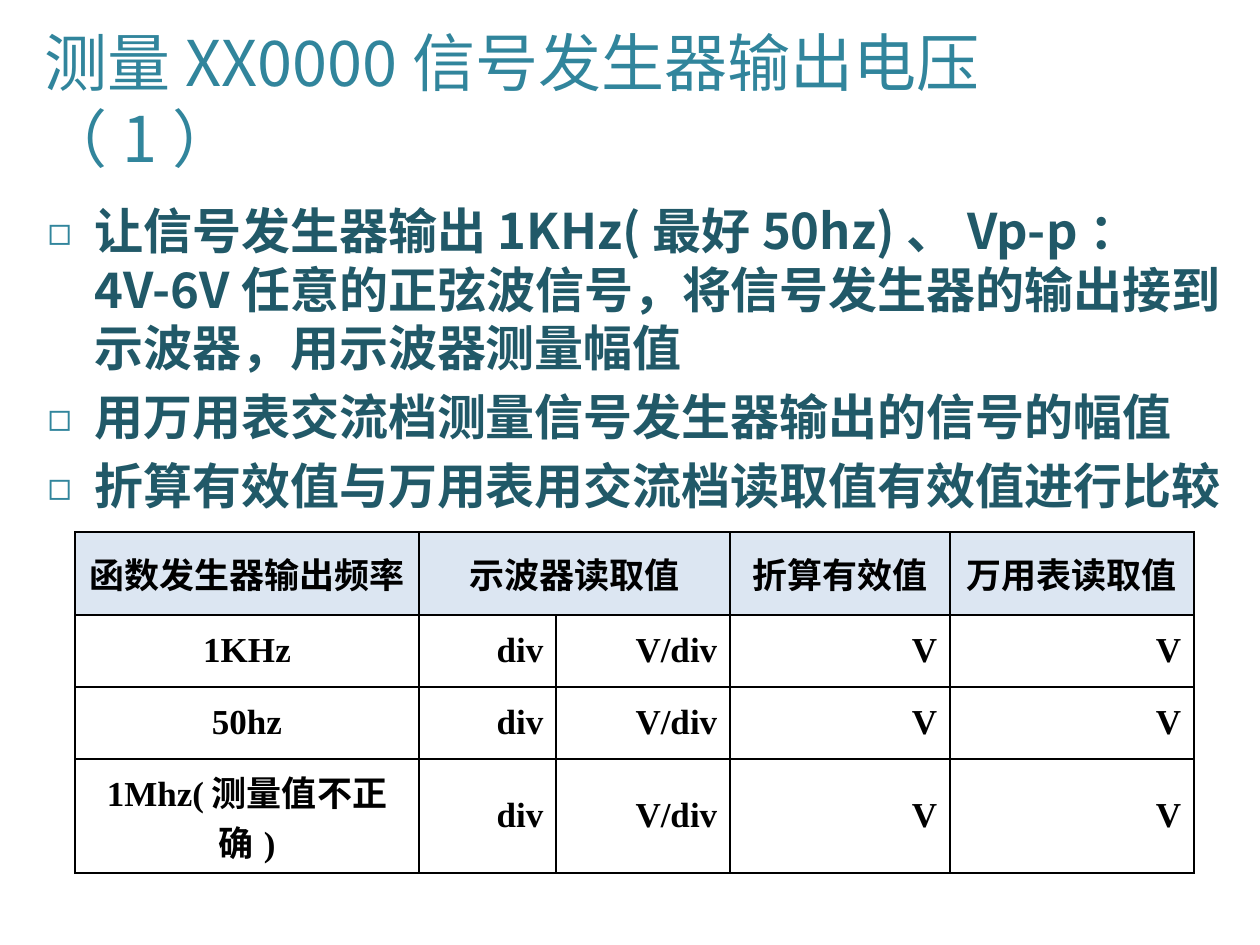
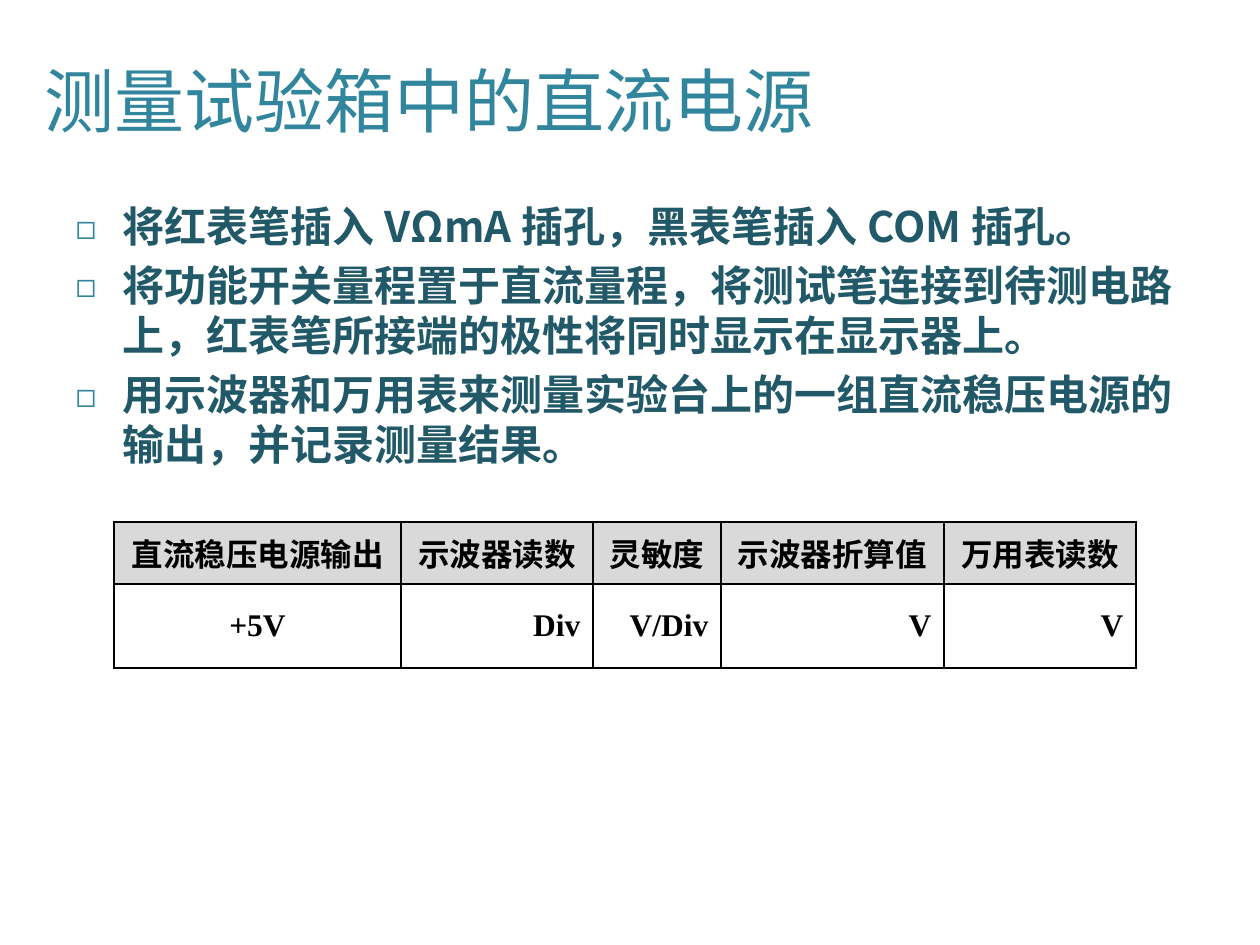
import pptx
import pptx.util
import pptx.dml.color
import pptx.enum.text
import pptx.oxml
import pptx.oxml.ns
from lxml import etree

# Shared look
SCALE = 914400 / 126
SANS, SERIF = "Noto Sans CJK SC", "Times New Roman"
HUES = {"title": "31859C", "body": "215968", "ink": "000000",
        "blue": "DCE6F2", "gray": "D9D9D9"}
ALIGN = pptx.enum.text.PP_ALIGN
MID = pptx.enum.text.MSO_ANCHOR.MIDDLE

# Content; a cell of None is merged into the one on its left
UNITS = ["div", "V/div", "V", "V"]
PAGES = [
    {
        "title": "测量XX0000信号发生器输出电压（1）",
        "title_box": (32, 34, 1075, 131), "title_size": 36,
        "items": [
            "让信号发生器输出1KHz(最好50hz)、Vp-p：4V-6V任意的正弦波信号，将信号发生器的输出接到示波器，用示波器测量幅值",
            "用万用表交流档测量信号发生器输出的信号的幅值",
            "折算有效值与万用表用交流档读取值有效值进行比较",
        ],
        "body_box": (35, 194, 1207, 624), "body_size": 28,
        "rows": [
            ["函数发生器输出频率", "示波器读取值", None, "折算有效值", "万用表读取值"],
            ["1KHz"] + UNITS,
            ["50hz"] + UNITS,
            ["1Mhz(测量值不正确)"] + UNITS,
        ],
        "spot": (75, 532), "wide": [344, 137, 174, 220, 244],
        "high": [83, 72, 72, 72], "size": 20, "head": "blue",
    },
    {
        "title": "测量试验箱中的直流电源",
        "title_box": (32, 34, 965, 131), "title_size": 40,
        "items": [
            "将红表笔插入VΩmA插孔，黑表笔插入COM插孔。",
            "将功能开关量程置于直流量程，将测试笔连接到待测电路上，红表笔所接端的极性将同时显示在显示器上。",
            "用示波器和万用表来测量实验台上的一组直流稳压电源的输出，并记录测量结果。",
        ],
        "body_box": (63, 194, 1134, 624), "body_size": 24,
        "rows": [
            ["直流稳压电源输出", "示波器读数", "灵敏度", "示波器折算值", "万用表读数"],
            ["+5V", "Div", "V/Div", "V", "V"],
        ],
        "spot": (114, 522), "wide": [287, 192, 128, 223, 192],
        "high": [62, 84], "size": 18, "head": "gray",
    },
]


def px(num):
    return pptx.util.Emu(round(num * SCALE))


def tint(name):
    return pptx.dml.color.RGBColor.from_string(HUES[name])


def add_sub(node, tag, **attrs):
    return etree.SubElement(node, pptx.oxml.ns.qn(tag), attrs)


def style(para, size, face, hue, bold):
    for run in para.runs:
        font = run.font
        font.size, font.bold, font.name = pptx.util.Pt(size), bold, face
        font.color.rgb = tint(hue)
        add_sub(run._r.get_or_add_rPr(), "a:ea", typeface=SANS)


def place(shape, box):
    shape.left, shape.top, shape.width, shape.height = map(px, box)
    shape.text_frame.word_wrap = True
    shape.text_frame.auto_size = pptx.enum.text.MSO_AUTO_SIZE.NONE


def lead(para, size):
    para.alignment = ALIGN.LEFT
    para.line_spacing = pptx.util.Pt(round(size * 1.2, 1))
    para.space_before = pptx.util.Pt(0)


def add_title(slide, page):
    shape, size = slide.shapes.title, page["title_size"]
    place(shape, page["title_box"])
    shape.text_frame.text = page["title"]
    shape.text_frame.vertical_anchor = MID
    para = shape.text_frame.paragraphs[0]
    lead(para, size)
    style(para, size, SANS, "title", False)


def add_list(slide, page):
    shape, size = slide.placeholders[1], page["body_size"]
    place(shape, page["body_box"])
    frame = shape.text_frame
    for i, item in enumerate(page["items"]):
        para = frame.add_paragraph() if i else frame.paragraphs[0]
        para.text = item
        props = para._p.get_or_add_pPr()
        props.set("marL", str(px(47)))
        props.set("indent", str(-px(47)))
        add_sub(add_sub(props, "a:buClr"), "a:srgbClr", val=HUES["title"])
        add_sub(props, "a:buSzPct", val="80000")
        add_sub(props, "a:buFont", typeface=SANS)
        add_sub(props, "a:buChar", char="◻")
        lead(para, size)
        if i:
            para.space_before = pptx.util.Pt(round(size * 0.2, 1))
        style(para, size, SANS, "body", True)


def edge(cell):
    props = cell._tc.get_or_add_tcPr()
    for side in "LRTB":
        line = add_sub(props, "a:ln" + side, w="12700")
        add_sub(add_sub(line, "a:solidFill"), "a:srgbClr", val=HUES["ink"])


def add_grid(slide, page):
    rows, wide, high = page["rows"], page["wide"], page["high"]
    box = (*page["spot"], sum(wide), sum(high))
    grid = slide.shapes.add_table(len(rows), len(wide), *map(px, box)).table
    grid.first_row = grid.horz_banding = False
    for col, num in zip(grid.columns, wide):
        col.width = px(num)
    for row, num in zip(grid.rows, high):
        row.height = px(num)
    for r, row in enumerate(rows):
        for c, text in enumerate(row):
            cell = grid.cell(r, c)
            edge(cell)
            if r == 0:
                cell.fill.solid()
                cell.fill.fore_color.rgb = tint(page["head"])
            else:
                cell.fill.background()
            if text is None:
                grid.cell(r, c - 1).merge(cell)
                continue
            cell.vertical_anchor = MID
            cell.text_frame.text = text
            para = cell.text_frame.paragraphs[0]
            para.alignment = ALIGN.RIGHT if r and c else ALIGN.CENTER
            style(para, page["size"], SERIF, "ink", True)


def main():
    deck = pptx.Presentation()
    deck.slide_width, deck.slide_height = px(1260), px(945)
    for page in PAGES:
        slide = deck.slides.add_slide(deck.slide_layouts[1])
        add_title(slide, page)
        add_list(slide, page)
        add_grid(slide, page)
    deck.save("out.pptx")


if __name__ == "__main__":
    main()
